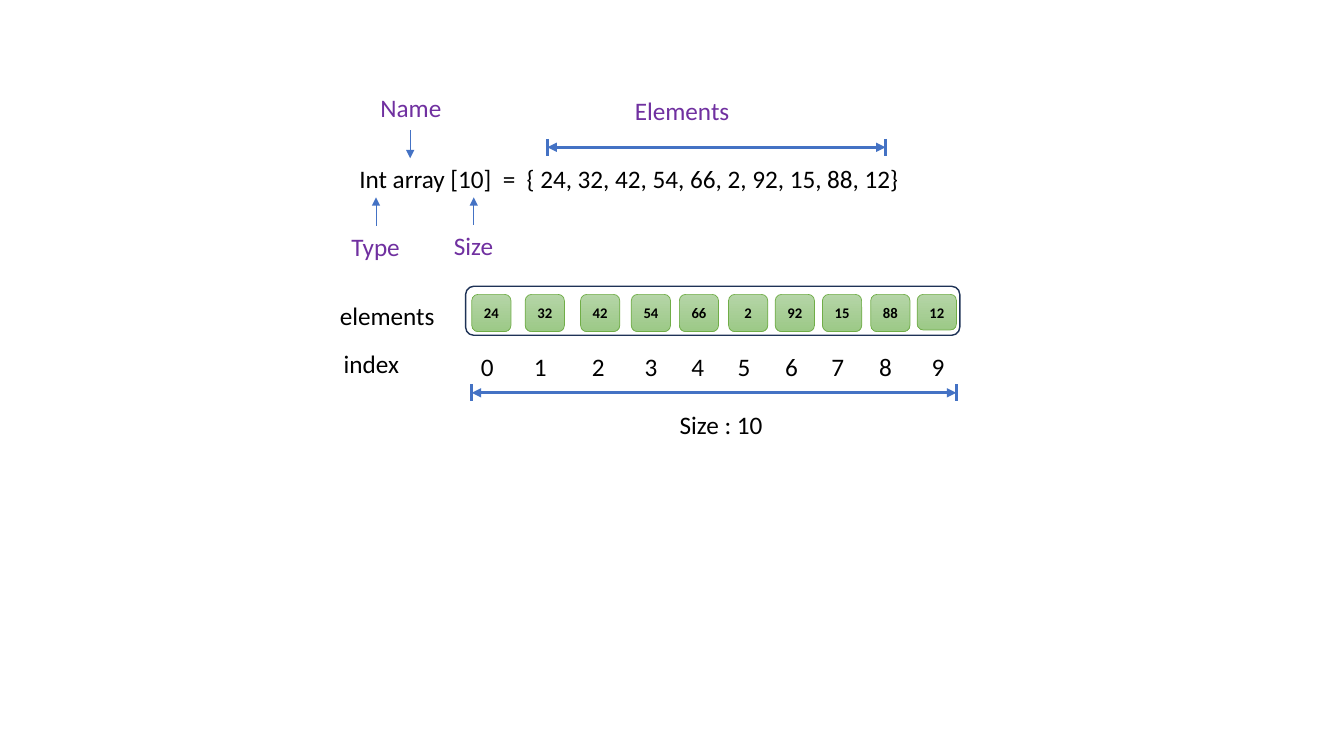
from pptx import Presentation
from pptx.dml.color import RGBColor
from pptx.enum.shapes import MSO_CONNECTOR, MSO_SHAPE
from pptx.enum.text import MSO_ANCHOR, PP_ALIGN
from pptx.oxml.ns import qn
from pptx.util import Pt
from lxml import etree

ROUNDED = MSO_SHAPE.ROUNDED_RECTANGLE
STRAIGHT = MSO_CONNECTOR.STRAIGHT
CENTER = PP_ALIGN.CENTER
MIDDLE = MSO_ANCHOR.MIDDLE
COLORS = {
    "text": "000000",
    "label": "7030A0",
    "arrow": "4472C4",
    "frame": "1E3256",
    "cell_line": "70AD47",
    "cell_top": "B5D5A7",
    "cell_bottom": "9CC987",
}

deck = Presentation()
deck.slide_width, deck.slide_height = Pt(960), Pt(540)
page = deck.slides.add_slide(deck.slide_layouts[6])
shapes = page.shapes


def write_text(box, text, size=18, color="text", bold=False, spacing=0):
    box.text_frame.word_wrap = True
    para = box.text_frame.paragraphs[0]
    para.alignment = CENTER
    span = para.add_run()
    span.text = text
    span.font.name = "Calibri"
    span.font.size = Pt(size)
    span.font.bold = bold
    span.font.color.rgb = RGBColor.from_string(COLORS[color])
    if spacing:
        span.font._element.set("spc", str(spacing * 100))


def draw_line(x1, y1, x2, y2, width=2.25, ends=()):
    line = shapes.add_connector(STRAIGHT, Pt(x1), Pt(y1), Pt(x2), Pt(y2))
    line.line.color.rgb = RGBColor.from_string(COLORS["arrow"])
    line.line.width = Pt(width)
    for end in ends:
        etree.SubElement(line.line._get_or_add_ln(), qn(f"a:{end}"), type="triangle")
    etree.SubElement(line._element.spPr, qn("a:effectLst"))


declaration = shapes.add_textbox(Pt(133.2), Pt(113), Pt(632.2), Pt(29))
write_text(declaration, "Int array [10]")
write_text(declaration, " =", spacing=4)
write_text(declaration, " { 24, 32, 42, 54, 66, 2, 92, 15, 88, 12}")

labels = [
    ("Name", 245.5, 62.6, 96, "label"),
    ("Elements", 439.2, 64.4, 96, "label"),
    ("Type", 220.3, 161.6, 96, "label"),
    ("Size", 290.2, 161, 96, "label"),
    ("elements", 232.6, 211, 88, "text"),
    ("index", 231.8, 245, 67, "text"),
    ("Size : 10", 476.6, 288.7, 77, "text"),
]
for text, left, top, width, color in labels:
    box = shapes.add_textbox(Pt(left), Pt(top), Pt(width), Pt(29))
    write_text(box, text, color=color)

for x, start, end in [(293, 93, 113), (268.6, 161.3, 141), (338.4, 160.6, 141)]:
    draw_line(x, start, x, end, width=0.5, ends=["tailEnd"])

for left, right, y in [(391, 632.5, 105.2), (337, 683, 280.6)]:
    draw_line(left, y, right, y, ends=["headEnd", "tailEnd"])
    for x in (left, right):
        draw_line(x, y - 6, x, y + 6)

frame = shapes.add_shape(ROUNDED, Pt(332.6), Pt(204.5), Pt(353), Pt(35))
frame.shadow.inherit = False
frame.fill.background()
frame.line.color.rgb = RGBColor.from_string(COLORS["frame"])
frame.line.width = Pt(1)

cells = [
    (24, 337, 348), (32, 375.2, 386), (42, 414.7, 427.3), (54, 451, 465),
    (66, 485.3, 498.5), (2, 520.4, 531.5), (92, 553.8, 565.5),
    (15, 587.5, 598.5), (88, 622, 632.5), (12, 655.2, 670),
]
for index, (value, left, index_center) in enumerate(cells):
    height = 25.4 if value == 12 else 26.6
    cell = shapes.add_shape(ROUNDED, Pt(left), Pt(210.3), Pt(28), Pt(height))
    cell.shadow.inherit = False
    cell.fill.gradient()
    cell.fill.gradient_angle = 270
    for stop, color, position in zip(cell.fill.gradient_stops, ("cell_top", "cell_bottom"), (0, 1)):
        stop.color.rgb = RGBColor.from_string(COLORS[color])
        stop.position = position
    cell.line.color.rgb = RGBColor.from_string(COLORS["cell_line"])
    cell.line.width = Pt(0.5)
    cell.text_frame.margin_left = cell.text_frame.margin_right = Pt(0)
    cell.text_frame.vertical_anchor = MIDDLE
    write_text(cell, str(value), size=10.5, bold=True)

    index_box = shapes.add_textbox(Pt(index_center - 15), Pt(247.5), Pt(30), Pt(29))
    write_text(index_box, str(index))

deck.save("out.pptx")
